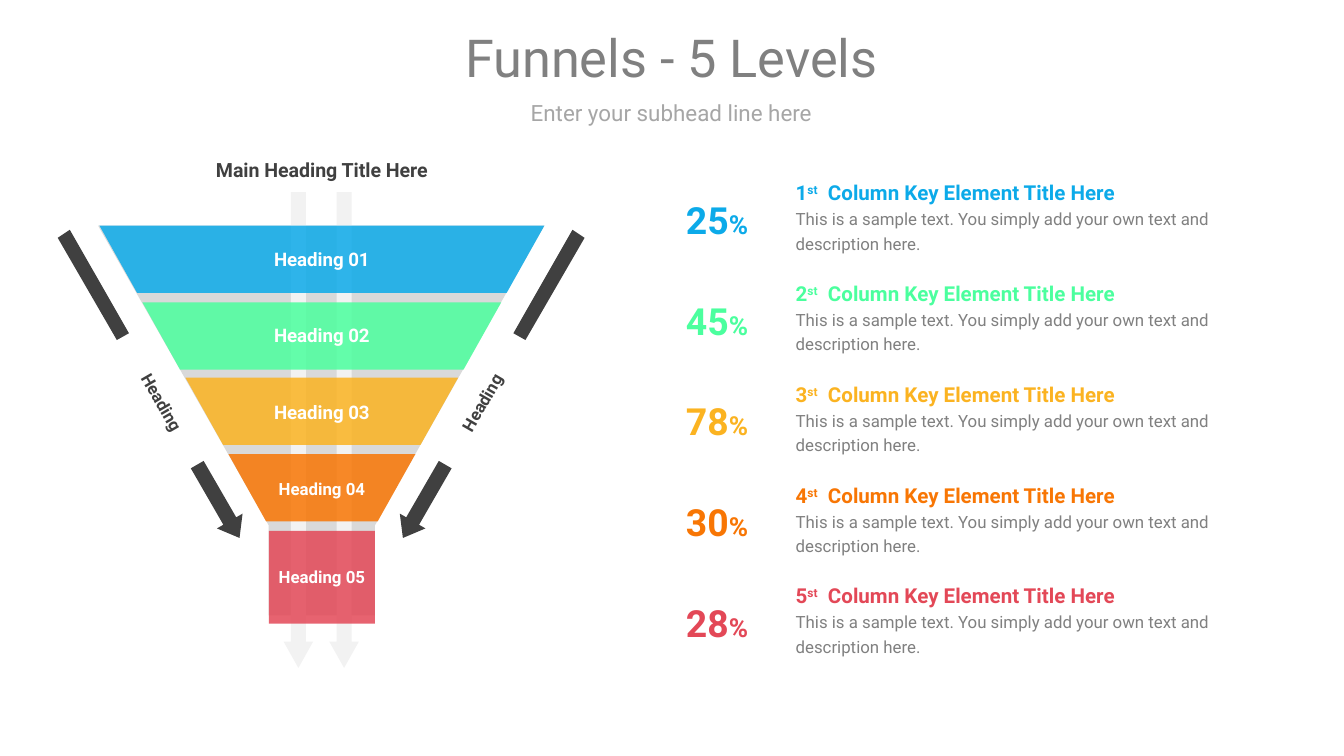
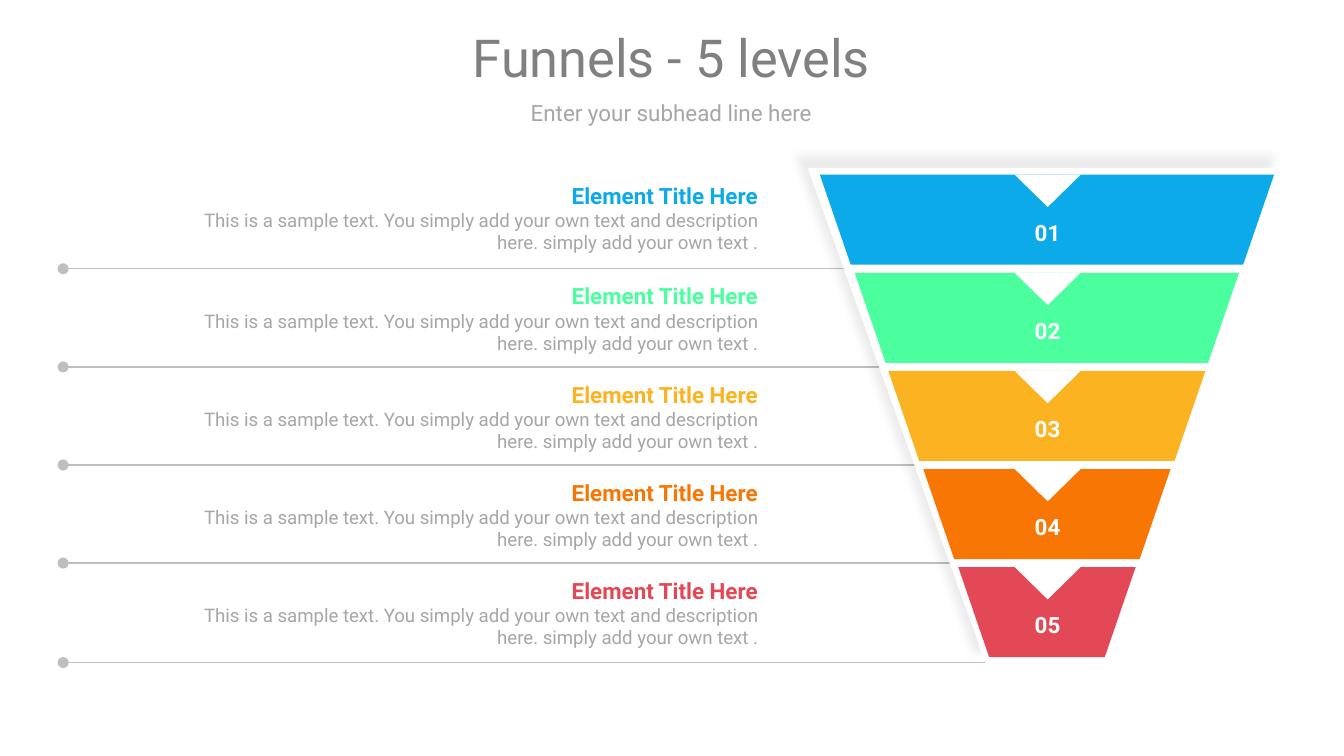
from lxml import etree
from pptx import Presentation
from pptx import util as u
from pptx.dml.color import RGBColor
from pptx.enum import shapes, text
from pptx.oxml.ns import qn

PX = u.Inches(1) // 100
FONT = "Roboto"
WHITE = RGBColor(0xFF, 0xFF, 0xFF)
BLACK = RGBColor(0x00, 0x00, 0x00)
DARK = RGBColor(0x40, 0x40, 0x40)
GREY = RGBColor(0x80, 0x80, 0x80)
SOFT_GREY = RGBColor(0xA6, 0xA6, 0xA6)
RULE_GREY = RGBColor(0xBF, 0xBF, 0xBF)
FUNNEL_GREY = RGBColor(0xD9, 0xD9, 0xD9)
FLOW_GREY = RGBColor(0xF2, 0xF2, 0xF2)
LEVELS = [
    RGBColor(0x0C, 0xAA, 0xE9),
    RGBColor(0x4B, 0xFF, 0x9E),
    RGBColor(0xFB, 0xB3, 0x21),
    RGBColor(0xF8, 0x76, 0x04),
    RGBColor(0xE3, 0x48, 0x57),
]
LEFT, CENTER, RIGHT = text.PP_ALIGN.LEFT, text.PP_ALIGN.CENTER, text.PP_ALIGN.RIGHT


def emu(lengths):
    return [length * PX for length in lengths]


def sub(parent, tag, **attributes):
    return etree.SubElement(parent, qn(tag), attributes)


def add_run(paragraph, content, *, size, color, bold=False, superscript=False):
    run = paragraph.add_run()
    run.text = content
    run.font.name = FONT
    run.font.size = u.Pt(size)
    run.font.bold = bold
    run.font.color.rgb = color
    if superscript:
        run._r.get_or_add_rPr().set("baseline", "30000")


def prepare_frame(frame):
    frame.word_wrap = True
    frame.auto_size = text.MSO_AUTO_SIZE.NONE
    frame.vertical_anchor = text.MSO_ANCHOR.MIDDLE
    frame.margin_left = frame.margin_right = frame.margin_top = frame.margin_bottom = 0


def add_label(slide, box, paragraphs, *, align=CENTER, spacing=None, rotation=0, tab=None):
    """Add a text box; each paragraph is a list of (text, format) runs."""
    label = slide.shapes.add_textbox(*emu(box))
    label.rotation = rotation
    frame = label.text_frame
    prepare_frame(frame)
    for index, runs in enumerate(paragraphs):
        paragraph = frame.add_paragraph() if index else frame.paragraphs[0]
        if tab and not index:
            stops = sub(paragraph._p.get_or_add_pPr(), "a:tabLst")
            sub(stops, "a:tab", pos=str(tab * PX), algn="l")
        paragraph.alignment = align
        if spacing:
            paragraph.line_spacing = spacing
        for content, style in runs:
            add_run(paragraph, content, **style)


def paint(shape, color, opacity=100):
    shape.shadow.inherit = False
    shape.line.fill.background()
    shape.fill.solid()
    shape.fill.fore_color.rgb = color
    if opacity < 100:
        tint = shape._element.spPr.find(qn("a:solidFill"))[0]
        sub(tint, "a:alpha", val=str(opacity * 1000))
    return shape


def add_preset(slide, kind, box, color, *, rotation=0, opacity=100, head=None):
    shape = paint(slide.shapes.add_shape(kind, *emu(box)), color, opacity)
    shape.rotation = rotation
    if head is not None:
        shape.adjustments[1] = head
    return shape


def add_polygon(slide, points, color, opacity=100):
    builder = slide.shapes.build_freeform(*points[0], scale=PX)
    builder.add_line_segments(points[1:], close=True)
    return paint(builder.convert_to_shape(), color, opacity)


def add_band(slide, left, right, top, height, inset, color, opacity=100):
    bottom = top + height
    points = [(left, top), (right, top), (right - inset, bottom), (left + inset, bottom)]
    return add_polygon(slide, points, color, opacity)


def add_soft_shadow(shape):
    effects = shape._element.spPr.find(qn("a:effectLst"))
    shadow = sub(effects, "a:outerShdw", blurRad=str(u.Pt(5)), dist=str(u.Pt(9)),
                 dir="13500000", algn="ctr", rotWithShape="0")
    tint = sub(shadow, "a:srgbClr", val=str(BLACK))
    sub(tint, "a:alpha", val="8000")


def add_rule(slide, left, right, y):
    """Add a level line that starts with a dot."""
    rule = slide.shapes.add_connector(
        shapes.MSO_CONNECTOR.STRAIGHT, *emu((left, y, right, y)))
    rule.line.color.rgb = RULE_GREY
    rule.line.width = u.Pt(0.75)
    sub(rule.line._get_or_add_ln(), "a:headEnd", type="oval")
    sub(rule._element.spPr, "a:effectLst")


def add_titled_slide(deck, title):
    slide = deck.slides.add_slide(deck.slide_layouts[5])
    heading = slide.shapes.title
    heading.left, heading.top, heading.width, heading.height = emu((42, 15, 915, 54))
    prepare_frame(heading.text_frame)
    paragraph = heading.text_frame.paragraphs[0]
    paragraph.alignment = CENTER
    add_run(paragraph, title, size=28, color=GREY)
    add_label(slide, (42, 74, 915, 19),
              [[("Enter your subhead line here", dict(size=12, color=SOFT_GREY))]])
    return slide


def add_funnel_sides(slide):
    bar = [(43, 177), (87, 253), (96, 248), (52, 171)]
    mirrored_bar = [(478 - x, y) for x, y in bar]
    sides = [(bar, 59, 60, 131, 60), (mirrored_bar, 297, 300, 284, 120)]
    for outline, heading_left, heading_turn, arrow_left, arrow_turn in sides:
        add_polygon(slide, outline, DARK)
        add_label(slide, (heading_left, 292, 123, 15),
                  [[("Heading", dict(size=9, color=DARK, bold=True))]],
                  rotation=heading_turn)
        add_preset(slide, shapes.MSO_SHAPE.RIGHT_ARROW, (arrow_left, 362, 63, 22),
                   DARK, rotation=arrow_turn, head=0.66)


def add_flow_funnel(slide):
    add_polygon(slide, [(73, 168), (405, 168), (279, 391), (279, 458),
                        (200, 458), (200, 391)], FUNNEL_GREY)
    for flow_left in (45, 79):
        add_preset(slide, shapes.MSO_SHAPE.RIGHT_ARROW, (flow_left, 309, 354, 22),
                   FLOW_GREY, rotation=90, head=0.89)
    for level, color in enumerate(LEVELS[:4]):
        add_band(slide, 74 + 32 * level, 405 - 32 * level, round(168 + 56.7 * level),
                 50, 28, color, opacity=85)
    add_preset(slide, shapes.MSO_SHAPE.RECTANGLE, (200, 395, 79, 69), LEVELS[4], opacity=85)

    add_label(slide, (112, 117, 255, 18),
              [[("Main Heading Title Here", dict(size=10.5, color=DARK, bold=True))]])
    add_funnel_sides(slide)
    headings = [(184, 10), (241, 10), (298, 10), (355, 9), (421, 9)]
    for number, (top, size) in enumerate(headings, 1):
        add_label(slide, (178, top, 123, 17),
                  [[(f"Heading {number:02}", dict(size=size, color=WHITE, bold=True))]])


def add_key_elements(slide):
    sample = "This is a sample text. You simply add your own text and description here."
    for row, (percent, color) in enumerate(zip((25, 45, 78, 30, 28), LEVELS)):
        top = 130 + 75 * row
        title = dict(size=11, color=color, bold=True)
        add_label(slide, (592, top, 365, 59), [
            [(str(row + 1), title), ("st", dict(title, superscript=True)),
             ("\tColumn Key Element Title Here", title)],
            [(sample, dict(size=9, color=GREY))],
        ], align=LEFT, spacing=1.2, tab=24)
        add_label(slide, (496, top + 5, 75, 50), [
            [(str(percent), dict(size=20, color=color, bold=True)),
             ("%", dict(size=14, color=color, bold=True))],
        ], spacing=1.2)


def add_element_list(slide):
    sample = ("This is a sample text. You simply add your own text and description here. "
              "simply add your own text .")
    rows = zip((135, 210, 283, 356, 429), (200, 273, 346, 419, 493), LEVELS)
    for top, rule_y, color in rows:
        add_rule(slide, 47, 755, rule_y)
        add_label(slide, (131, top, 433, 54), [
            [("Element Title Here", dict(size=12, color=color, bold=True))],
            [(sample, dict(size=10, color=SOFT_GREY))],
        ], align=RIGHT)


def add_numbered_funnel(slide):
    backing = add_polygon(slide, [(601, 125), (958, 125), (824, 495), (734, 495)], WHITE)
    add_soft_shadow(backing)
    for level, color in enumerate(LEVELS):
        top = 130 + 73 * level
        narrowing = round(25.7 * level)
        add_band(slide, 610 + narrowing, 948 - narrowing, top, 67, 23, color)
        add_label(slide, (733, top + 23, 93, 30),
                  [[(f"{level + 1:02}", dict(size=12, color=WHITE, bold=True))]],
                  spacing=1.5)
        add_preset(slide, shapes.MSO_SHAPE.ISOSCELES_TRIANGLE, (755, top, 49, 24),
                   WHITE, rotation=180)


def main():
    deck = Presentation()
    deck.slide_width = 1000 * PX
    deck.slide_height = deck.slide_width * 9 // 16

    flow = add_titled_slide(deck, "Funnels - 5 Levels")
    add_flow_funnel(flow)
    add_key_elements(flow)

    numbered = add_titled_slide(deck, "Funnels - 5 levels")
    add_element_list(numbered)
    add_numbered_funnel(numbered)

    deck.save("out.pptx")


if __name__ == "__main__":
    main()
